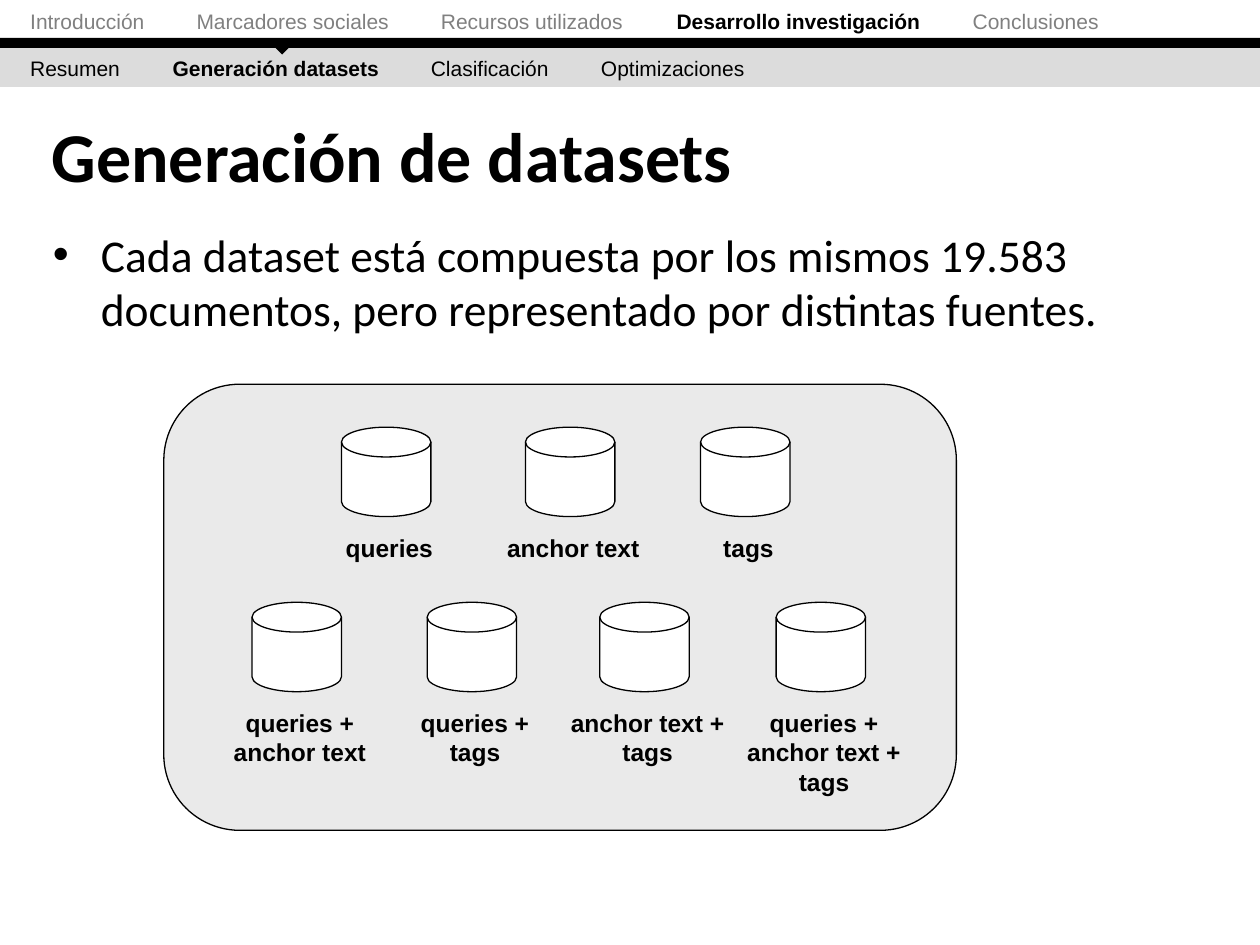
"""Build the slide on dataset generation."""
from copy import deepcopy

from lxml.etree import SubElement
from pptx import Presentation
from pptx.dml.color import RGBColor
from pptx.enum.shapes import MSO_SHAPE as SHAPE
from pptx.enum.text import MSO_ANCHOR as ANCHOR, MSO_AUTO_SIZE as AUTO, PP_ALIGN as ALIGN
from pptx.oxml.ns import qn
from pptx.util import Inches, Pt

BLACK = RGBColor(0, 0, 0)
WHITE = RGBColor(255, 255, 255)
GRAY = RGBColor(0x80, 0x80, 0x80)
BAR = RGBColor(0xDC, 0xDC, 0xDC)
PANEL = RGBColor(0xEA, 0xEA, 0xEA)

MENU = ["Introducción", "Marcadores sociales", "Recursos utilizados",
        "Desarrollo investigación", "Conclusiones"]
SUBMENU = ["Resumen", "Generación datasets", "Clasificación", "Optimizaciones"]
DATASETS = [
    (3.39, [(2.71, ["queries"]), (4.17, ["anchor text"]), (5.56, ["tags"])]),
    (4.78, [(2, ["queries +", "anchor text"]), (3.39, ["queries +", "tags"]),
            (4.76, ["anchor text +", "tags"]),
            (6.16, ["queries +", "anchor text +", "tags"])]),
]


class Deck:
    """Hold the style and the current slide."""

    head_font, label_font = "Calibri", "Arial"

    def __init__(self):
        self.prs = Presentation()
        self.prs.slide_width, self.prs.slide_height = Inches(10), Inches(7.5)
        self.s = self.prs.slides.add_slide(self.prs.slide_layouts[1])
        self.shapes = self.s.shapes

    def group(self):
        self.shapes = self.s.shapes.add_group_shape().shapes

    def shape(self, kind, x, y, w, h, fill, line=None):
        sp = self.shapes.add_shape(kind, Inches(x), Inches(y), Inches(w), Inches(h))
        sp.shadow.inherit = False
        sp.fill.solid()
        sp.fill.fore_color.rgb = fill
        if line is None:
            sp.line.fill.background()
        else:
            sp.line.color.rgb = line
            sp.line.width = Pt(0.75)
        return sp

    def run(self, p, text, font, size, color=BLACK, bold=False):
        r = p.add_run()
        r.text = text
        r.font.name, r.font.size = font, Pt(size)
        r.font.color.rgb, r.font.bold = color, bold
        return r

    def textbox(self, x, y, w, h):
        tf = self.shapes.add_textbox(Inches(x), Inches(y), Inches(w), Inches(h)).text_frame
        tf.word_wrap = True
        tf.auto_size = AUTO.SHAPE_TO_FIT_TEXT
        return tf

    def menu(self, y, items, stops, active, color):
        tf = self.textbox(0, y, 9.77, 0.3)
        tf.margin_left = Inches(0.24)
        p = tf.paragraphs[0]
        tabs = SubElement(p._p.get_or_add_pPr(), qn("a:tabLst"))
        for stop in stops:
            SubElement(tabs, qn("a:tab"), pos=str(Inches(stop)), algn="l")
        for i, item in enumerate(items):
            text = "\t" + item if i else item
            on = item == active
            self.run(p, text, self.label_font, 12, BLACK if on else color, on)

    def placeholder(self, sp, x, y, w, h, text, size, bold=False):
        sp.left, sp.top, sp.width, sp.height = map(Inches, (x, y, w, h))
        tf = sp.text_frame
        tf.auto_size = AUTO.NONE
        p = tf.paragraphs[0]
        p.alignment, p.space_before = ALIGN.LEFT, Pt(0)
        self.run(p, text, self.head_font, size, bold=bold)
        return tf

    def title(self, text):
        tf = self.placeholder(self.s.shapes.title, 0.31, 0.86, 9.61, 0.74, text, 40, True)
        tf.vertical_anchor = ANCHOR.MIDDLE

    def body(self, text):
        tf = self.placeholder(self.s.placeholders[1], 0.32, 1.75, 9.37, 5.67, text, 26)
        pPr = tf.paragraphs[0]._p.get_or_add_pPr()
        pPr.set("marL", str(Inches(0.38)))
        pPr.set("indent", str(Inches(-0.38)))
        SubElement(pPr, qn("a:buChar"), char="•")

    def dataset(self, x, y, lines):
        self.shape(SHAPE.FLOWCHART_MAGNETIC_DISK, x, y, 0.71, 0.71, WHITE, BLACK)
        tf = self.textbox(x - 0.56, y + 0.79, 1.88, 0.11 + 0.23 * len(lines))
        p = tf.paragraphs[0]
        p.alignment = ALIGN.CENTER
        for i, line in enumerate(lines):
            if i:
                p.add_line_break()
                p._p[-1].append(deepcopy(r._r.rPr))
            r = self.run(p, line, self.label_font, 14, bold=True)


def main():
    deck = Deck()
    deck.shape(SHAPE.RECTANGLE, 0, 0.37, 10, 0.32, BAR)
    deck.shape(SHAPE.RECTANGLE, 0, 0.3, 10, 0.08, BLACK)
    deck.menu(0.02, MENU, [1.32, 3.26, 5.13, 7.48], "Desarrollo investigación", GRAY)
    deck.menu(0.39, SUBMENU, [1.13, 3.18, 4.53], "Generación datasets", BLACK)
    deck.shape(SHAPE.RIGHT_TRIANGLE, 2.16, 0.24, 0.16, 0.16, BLACK).rotation = 315
    deck.title("Generación de datasets")
    deck.body("Cada dataset está compuesta por los mismos 19.583 documentos, "
              "pero representado por distintas fuentes.")
    deck.group()
    panel = deck.shape(SHAPE.ROUNDED_RECTANGLE, 1.3, 3.05, 6.29, 3.54, PANEL, BLACK)
    panel.adjustments[0] = 0.17
    for y, row in DATASETS:
        for x, lines in row:
            deck.dataset(x, y, lines)
    deck.prs.save("out.pptx")


if __name__ == "__main__":
    main()
